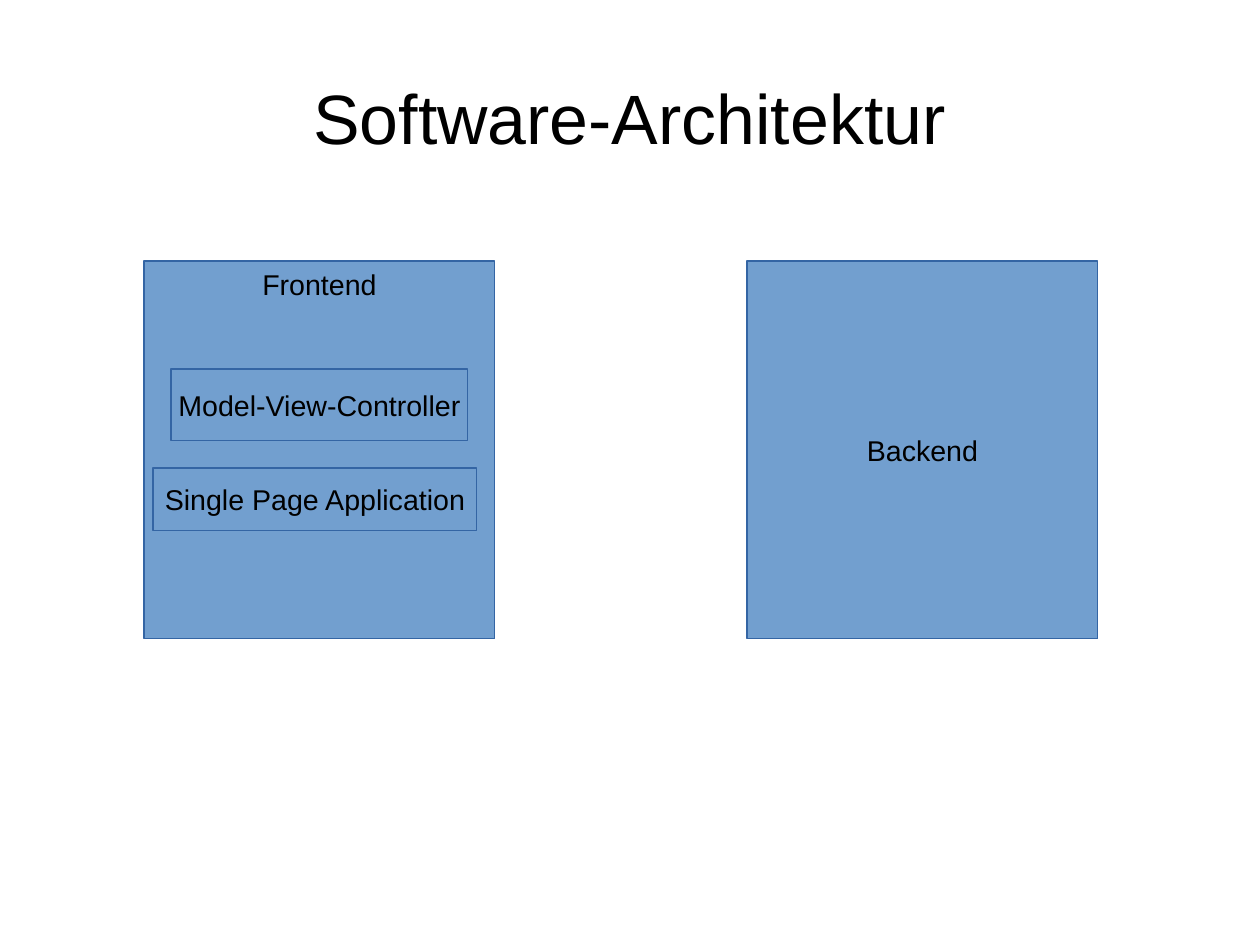
import pptx
import pptx.dml.color
import pptx.enum.shapes
import pptx.enum.text
import pptx.util
from pptx.util import Cm

BLACK = pptx.dml.color.RGBColor(0x00, 0x00, 0x00)
BOX_FILL = pptx.dml.color.RGBColor(0x72, 0x9F, 0xCF)
BOX_LINE = pptx.dml.color.RGBColor(0x34, 0x65, 0xA4)
FONT = "Arial"

TOP = pptx.enum.text.MSO_ANCHOR.TOP
MIDDLE = pptx.enum.text.MSO_ANCHOR.MIDDLE

TIER_TOP, TIER_WIDTH, TIER_HEIGHT = Cm(5.8), Cm(7.8), Cm(8.4)


def write_text(frame, text, size, anchor):
    """Put one centred run into a text frame."""
    frame.vertical_anchor = anchor
    paragraph = frame.paragraphs[0]
    paragraph.alignment = pptx.enum.text.PP_ALIGN.CENTER
    run = paragraph.add_run()
    run.text = text
    run.font.name = FONT
    run.font.size = pptx.util.Pt(size)
    run.font.color.rgb = BLACK


def add_title(slide, text):
    """Place and fill the title placeholder."""
    title = slide.shapes.title
    title.left, title.top = Cm(1.4), Cm(0.84)
    title.width, title.height = Cm(25.2), Cm(3.5)
    frame = title.text_frame
    frame.margin_left = frame.margin_right = 0
    frame.margin_top = frame.margin_bottom = 0
    frame.word_wrap = True
    frame.auto_size = pptx.enum.text.MSO_AUTO_SIZE.NONE
    write_text(frame, text, 44, MIDDLE)


def add_box(slide, text, left, top, width, height, anchor=MIDDLE):
    """Add a labelled component rectangle."""
    box = slide.shapes.add_shape(
        pptx.enum.shapes.MSO_SHAPE.RECTANGLE, left, top, width, height)
    box.shadow.inherit = False
    box.fill.solid()
    box.fill.fore_color.rgb = BOX_FILL
    box.line.color.rgb = BOX_LINE
    box.line.width = pptx.util.Pt(0.75)
    box.text_frame.word_wrap = False
    write_text(box.text_frame, text, 18, anchor)


def main():
    """Build the architecture slide and save it."""
    deck = pptx.Presentation()
    deck.slide_width, deck.slide_height = Cm(28), Cm(21)
    slide = deck.slides.add_slide(deck.slide_layouts[5])

    add_title(slide, "Software-Architektur")
    for tier, left, anchor in (("Frontend", 3.2, TOP), ("Backend", 16.6, MIDDLE)):
        add_box(slide, tier, Cm(left), TIER_TOP, TIER_WIDTH, TIER_HEIGHT, anchor)
    add_box(slide, "Model-View-Controller", Cm(3.8), Cm(8.2), Cm(6.6), Cm(1.6))
    add_box(slide, "Single Page Application", Cm(3.4), Cm(10.4), Cm(7.2), Cm(1.4))

    deck.save("out.pptx")


main()
